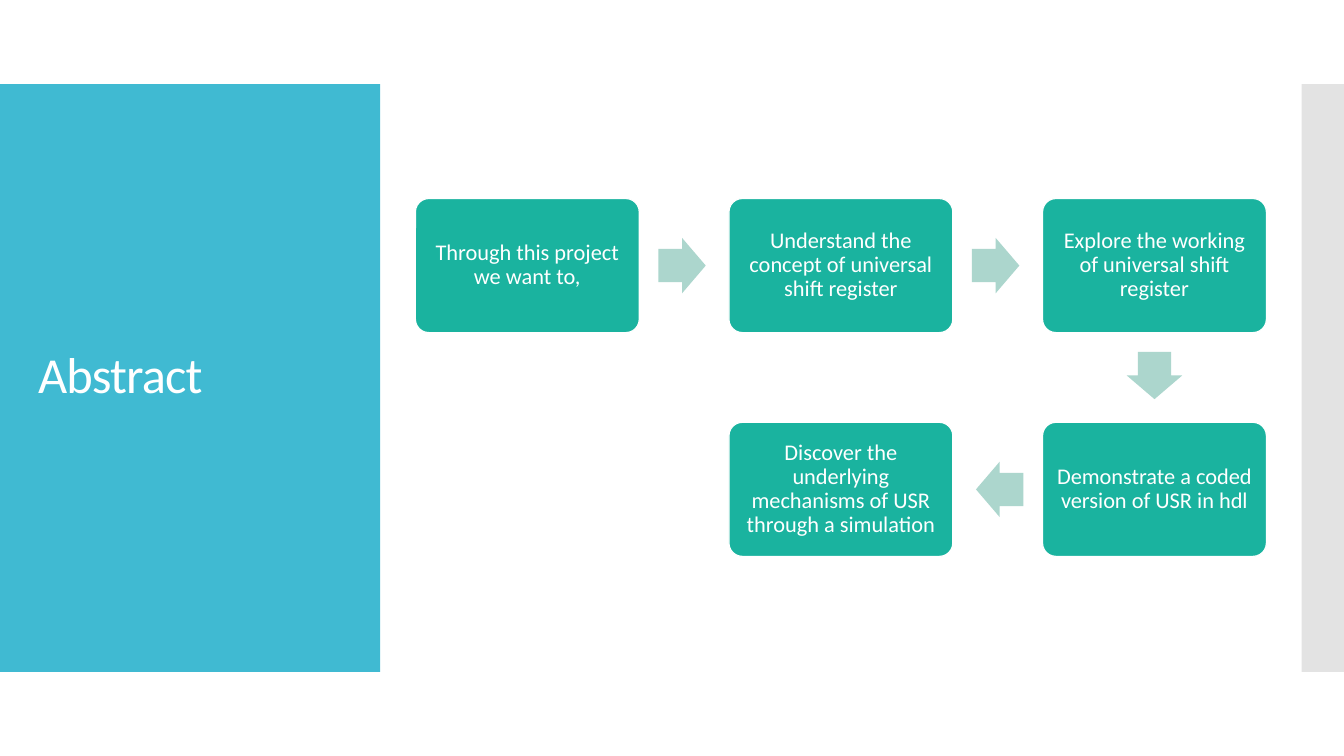
from itertools import pairwise
from math import atan2, degrees

from lxml import etree
from pptx import Presentation
from pptx.dml.color import RGBColor
from pptx.enum.shapes import MSO_SHAPE
from pptx.enum.text import MSO_ANCHOR, PP_ALIGN
from pptx.oxml.ns import qn
from pptx.util import Inches, Pt

RECTANGLE = MSO_SHAPE.RECTANGLE
ROUNDED = MSO_SHAPE.ROUNDED_RECTANGLE
ARROW = MSO_SHAPE.RIGHT_ARROW
MIDDLE = MSO_ANCHOR.MIDDLE
CENTER = PP_ALIGN.CENTER

COLORS = {"panel": "40BAD2", "strip": "C8C8C8", "step": "1AB39F",
          "arrow": "ACD6CD", "white": "FFFFFF"}
FONT = "Calibri"
SLIDE_WIDTH, SLIDE_HEIGHT = 13.33, 7.5
BAND_TOP, BAND_HEIGHT = SLIDE_HEIGHT / 9, SLIDE_HEIGHT * 7 / 9
STRIP_WIDTH = 0.42

# Grid of steps, in inches
GRID_LEFT, GRID_TOP = 4.12, 1.97
COLUMN_PITCH, ROW_PITCH = 3.11, 2.22
STEP_WIDTH, STEP_HEIGHT = 2.22, 1.33
ARROW_LENGTH, ARROW_WIDTH = 0.47, 0.55
ARROW_SHIFT = 0.02  # arrows sit slightly nearer to the step they leave

# Column, row and wording, in reading order
STEPS = [
    (0, 0, "Through this project we want to,"),
    (1, 0, "Understand the concept of universal shift register"),
    (2, 0, "Explore the working of universal shift register"),
    (2, 1, "Demonstrate a coded version of USR in hdl"),
    (1, 1, "Discover the underlying mechanisms of USR through a simulation"),
]


def rgb(name):
    """Return the named palette colour."""
    return RGBColor.from_string(COLORS[name])


def add_block(slide, kind, left, top, width, height, color):
    """Add a flat filled shape without outline or shadow."""
    shape = slide.shapes.add_shape(
        kind, Inches(left), Inches(top), Inches(width), Inches(height))
    shape.shadow.inherit = False
    shape.fill.solid()
    shape.fill.fore_color.rgb = rgb(color)
    shape.line.fill.background()
    return shape


def set_transparency(shape, opacity):
    """Set the opacity of a solid fill, in percent."""
    color = shape.fill._xPr.find(qn("a:solidFill"))[0]
    etree.SubElement(color, qn("a:alpha"), val=str(opacity * 1000))


def write(shape, text, size):
    """Put one white, vertically centred paragraph into a shape."""
    frame = shape.text_frame
    frame.word_wrap = True
    frame.vertical_anchor = MIDDLE
    paragraph = frame.paragraphs[0]
    paragraph.text = text
    paragraph.line_spacing = 0.9
    paragraph.font.name = FONT
    paragraph.font.size = Pt(size)
    paragraph.font.color.rgb = rgb("white")
    return paragraph


def add_title(slide, text):
    """Add the slide title over the coloured panel."""
    box = slide.shapes.add_textbox(
        Inches(0.28), Inches(1.23), Inches(3.22), Inches(5.03))
    paragraph = write(box, text, 36)
    paragraph.runs[0].font._element.set("spc", "-60")


def add_step(slide, column, row, text):
    """Add a rounded step box in a grid cell."""
    shape = add_block(slide, ROUNDED, GRID_LEFT + column * COLUMN_PITCH,
                      GRID_TOP + row * ROW_PITCH, STEP_WIDTH, STEP_HEIGHT, "step")
    shape.adjustments[0] = 0.1
    shape.line.color.rgb = rgb("white")
    shape.line.width = Pt(0.85)
    frame = shape.text_frame
    frame.margin_left = frame.margin_right = Inches(0.07)
    frame.margin_top = frame.margin_bottom = Inches(0.07)
    write(shape, text, 16).alignment = CENTER


def add_step_arrow(slide, start, end):
    """Add a block arrow between two neighbouring grid cells."""
    across, down = end[0] - start[0], end[1] - start[1]
    center_x = (GRID_LEFT + STEP_WIDTH / 2 - across * ARROW_SHIFT
                + (start[0] + end[0]) / 2 * COLUMN_PITCH)
    center_y = (GRID_TOP + STEP_HEIGHT / 2 - down * ARROW_SHIFT
                + (start[1] + end[1]) / 2 * ROW_PITCH)
    arrow = add_block(slide, ARROW, center_x - ARROW_LENGTH / 2,
                      center_y - ARROW_WIDTH / 2, ARROW_LENGTH, ARROW_WIDTH, "arrow")
    arrow.adjustments[0] = 0.6
    arrow.adjustments[1] = 0.5
    arrow.rotation = degrees(atan2(down, across))


def main():
    """Build and save the slide."""
    presentation = Presentation()
    presentation.slide_width = Inches(SLIDE_WIDTH)
    presentation.slide_height = Inches(SLIDE_HEIGHT)
    slide = presentation.slides.add_slide(presentation.slide_layouts[6])

    add_block(slide, RECTANGLE, 0, BAND_TOP, 3.77, BAND_HEIGHT, "panel")
    strip = add_block(slide, RECTANGLE, SLIDE_WIDTH - STRIP_WIDTH, BAND_TOP,
                      STRIP_WIDTH, BAND_HEIGHT, "strip")
    set_transparency(strip, 50)
    add_title(slide, "Abstract")

    for column, row, text in STEPS:
        add_step(slide, column, row, text)
    for start, end in pairwise(STEPS):
        add_step_arrow(slide, start, end)

    presentation.save("out.pptx")


main()
